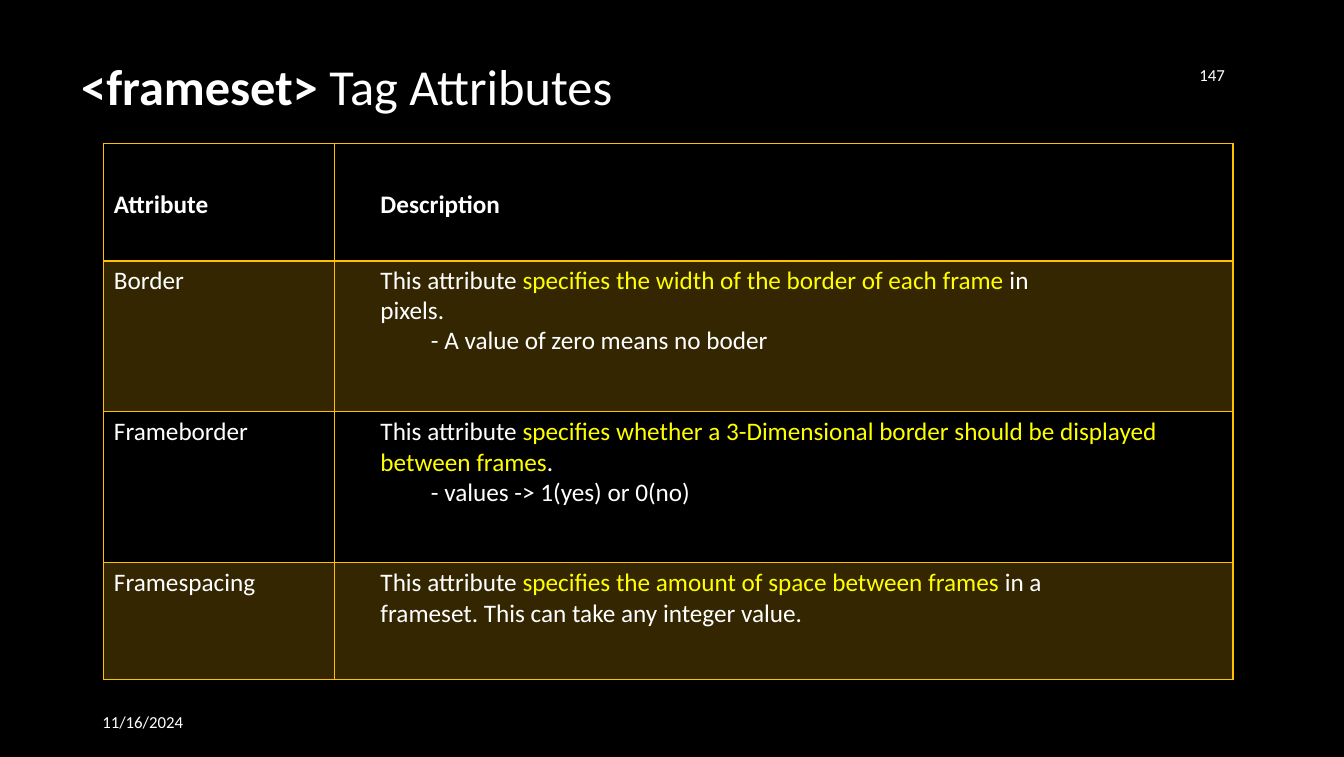
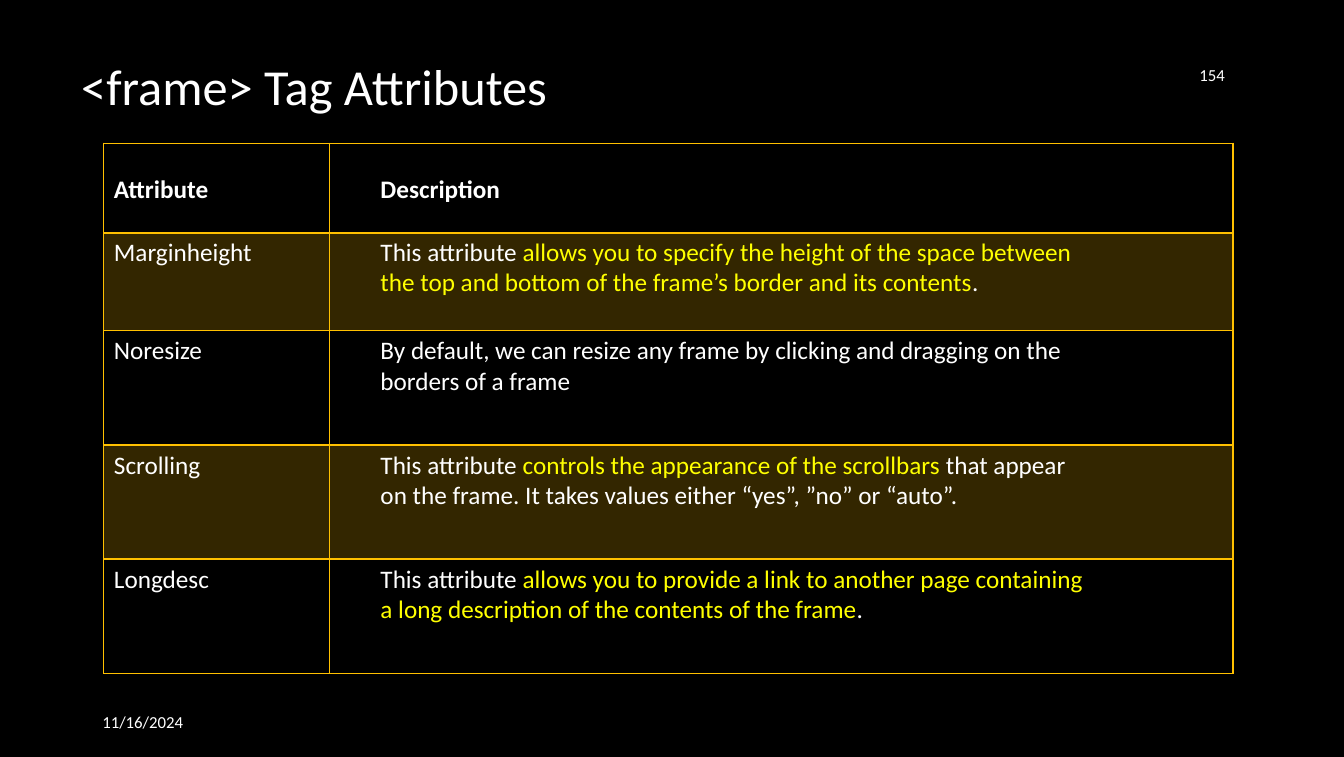
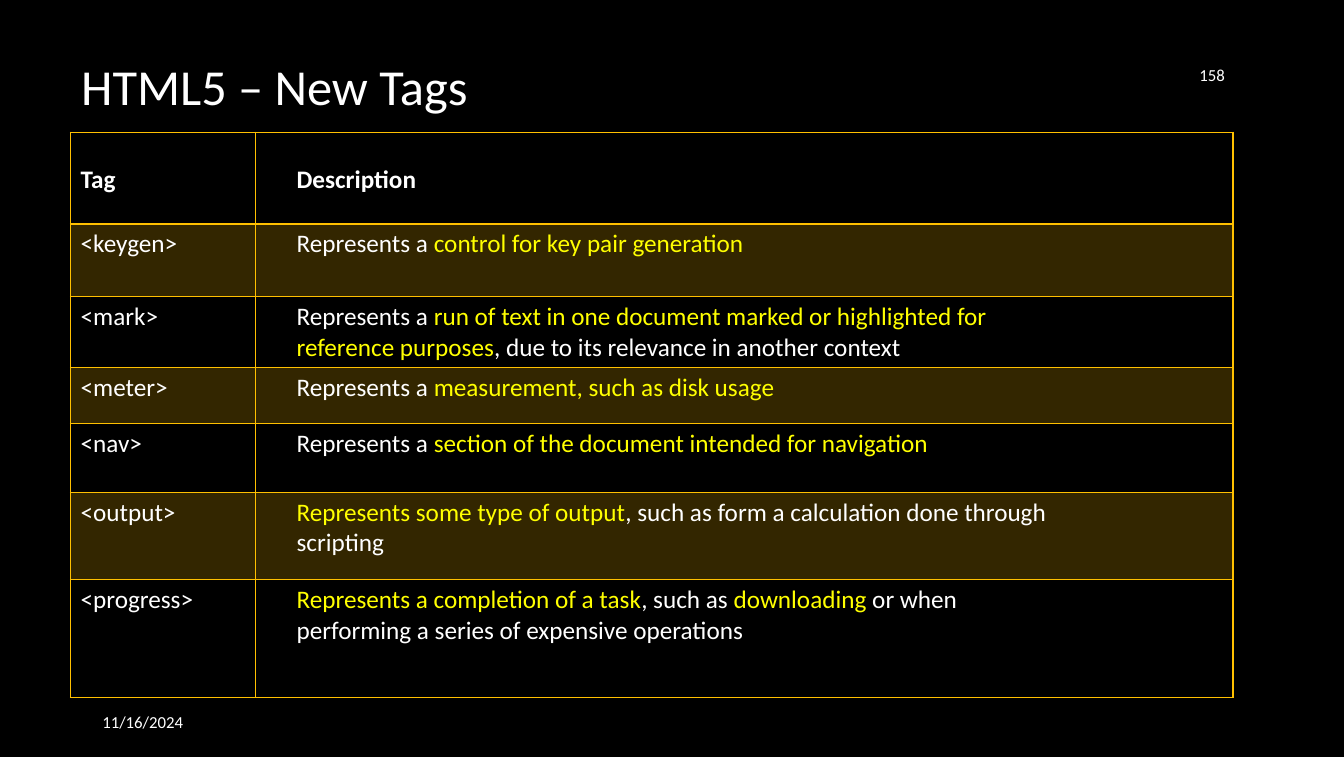
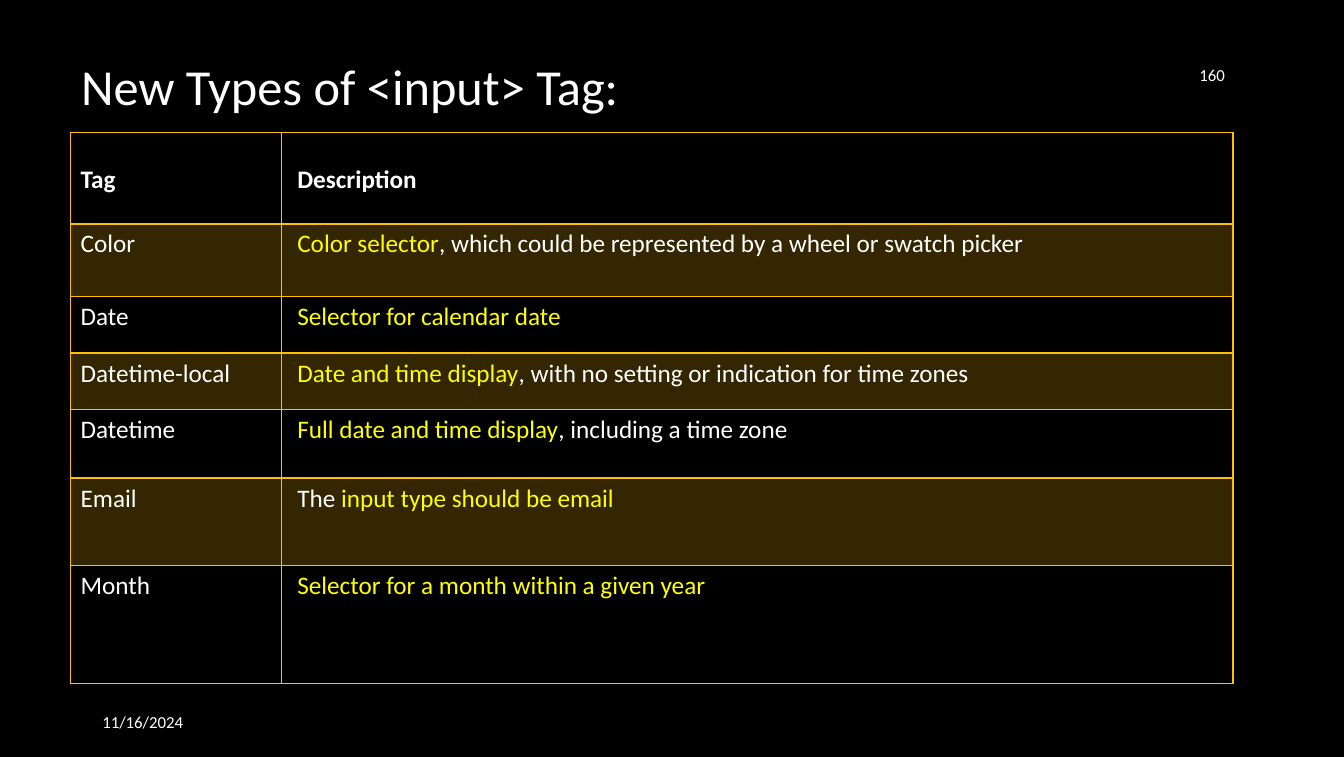
"""Build four dark slides on HTML tags, each with a title and a two-column table."""
from dataclasses import dataclass

from lxml.etree import SubElement
from pptx import Presentation
from pptx.dml.color import RGBColor
from pptx.enum.text import MSO_ANCHOR, PP_ALIGN
from pptx.oxml import parse_xml
from pptx.oxml.ns import nsdecls, qn
from pptx.util import Pt

DATE = "11/16/2024"
MARK = "|"
SUB = "- "

SLIDES = [
    {
        "number": "147", "title": [("<frameset> ", True), ("Tag Attributes", False)],
        "title_width": 450, "left": 74.2, "top": 102.4, "first_col": 165,
        "indent": 32.6, "header_pad": 33, "heights": [84, 107.5, 108, 83.5],
        "rows": [
            ("Attribute", ["Description"]),
            ("Border", ["This attribute |specifies the width of the border of each frame| in",
                        "pixels.",
                        "- A value of zero means no boder"]),
            ("Frameborder", ["This attribute |specifies whether a 3-Dimensional border should be "
                             "displayed between frames|.",
                             "- values -> 1(yes) or 0(no)"]),
            ("Framespacing", ["This attribute |specifies the amount of space between frames |in a",
                              "frameset. This can take any integer value."]),
        ],
    },
    {
        "number": "154", "title": [("<frame> Tag Attributes", False)],
        "title_width": 400, "left": 74.2, "top": 102.4, "first_col": 161,
        "indent": 36.6, "header_pad": 22, "heights": [64, 70, 81.5, 81.5, 81.5],
        "rows": [
            ("Attribute", ["Description"]),
            ("Marginheight", ["This attribute |allows you to specify the height of the space between|",
                              "|the top and bottom of the frame’s border and its contents|."]),
            ("Noresize", ["By default, we can resize any frame by clicking and dragging on the",
                          "borders of a frame"]),
            ("Scrolling", ["This attribute |controls the appearance of the scrollbars |that appear",
                           "on the frame. It takes values either “yes”, ”no” or “auto”."]),
            ("Longdesc", ["This attribute |allows you to provide a link to another page containing|",
                          "|a long description of the contents of the frame|."]),
        ],
    },
    {
        "number": "158", "title": [("HTML5 – New Tags", False)],
        "title_width": 318, "left": 50.4, "top": 94.4, "first_col": 132,
        "indent": 29.5, "header_pad": 23.2, "heights": [65.5, 52, 50.4, 40.3, 49, 62.6, 84.2],
        "rows": [
            ("Tag", ["Description"]),
            ("<keygen>", ["Represents a |control for key pair generation|"]),
            ("<mark>", ["Represents a |run of text in one document marked or highlighted for|",
                        "|reference purposes|, due to its relevance in another context"]),
            ("<meter>", ["Represents a |measurement, such as disk usage|"]),
            ("<nav>", ["Represents a |section of the document intended for navigation|"]),
            ("<output>", ["|Represents some type of output|, such as form a calculation done through",
                          "scripting"]),
            ("<progress>", ["|Represents a completion of a task|, such as |downloading| or when",
                            "performing a series of expensive operations"]),
        ],
    },
    {
        "number": "160", "title": [("New Types of <input> Tag:", False)],
        "title_width": 459, "left": 50.4, "top": 94.4, "first_col": 150.5,
        "indent": 11.5, "header_pad": 23.2, "heights": [65.5, 52, 40.3, 40.3, 49, 62.6, 84.2],
        "rows": [
            ("Tag", ["Description"]),
            ("Color", ["|Color selector|, which could be represented by a wheel or swatch picker"]),
            ("Date", ["|Selector for calendar date|"]),
            ("Datetime-local", ["|Date and time display|, with no setting or indication for time zones"]),
            ("Datetime", ["|Full date and time display|, including a time zone"]),
            ("Email", ["The |input type should be email|"]),
            ("Month", ["|Selector for a month within a given year|"]),
        ],
    },
]


@dataclass(frozen=True)
class Theme:
    font: str = "Calibri"
    background: str = "000000"
    text: str = "FFFFFF"
    highlight: str = "FFFF00"
    gold: str = "FFC000"
    band_alpha: int = 20
    title_size: float = 36
    body_size: float = 18
    small_size: float = 12
    sub_indent: float = 36
    sub_leading: float = 21.4
    table_right: float = 880.8


THEME = Theme()


def add_run(p, text, size, color=THEME.text, bold=False):
    r = p.add_run()
    r.text = text
    r.font.color.rgb = RGBColor.from_string(color)
    for name, value in {"name": THEME.font, "size": Pt(size), "bold": bold}.items():
        setattr(r.font, name, value)


def add_text(s, box, runs, size, margins=(7.2, 3.6, 7.2, 3.6), align=PP_ALIGN.LEFT):
    tf = s.shapes.add_textbox(*map(Pt, box)).text_frame
    left, top, right, bottom = map(Pt, margins)
    props = {"word_wrap": True, "vertical_anchor": MSO_ANCHOR.MIDDLE, "margin_left": left,
             "margin_top": top, "margin_right": right, "margin_bottom": bottom}
    for name, value in props.items():
        setattr(tf, name, value)
    p = tf.paragraphs[0]
    p.alignment = align
    for text, bold in runs:
        add_run(p, text, size, bold=bold)


def set_borders(cell, bottom):
    tc_pr = cell._tc.get_or_add_tcPr()
    for i, (side, width) in enumerate({"L": 1, "R": 1, "T": 1, "B": bottom}.items()):
        tc_pr.insert(i, parse_xml(
            f'<a:ln{side} {nsdecls("a")} w="{Pt(width)}"><a:solidFill>'
            f'<a:srgbClr val="{THEME.gold}"/></a:solidFill></a:ln{side}>'))


def set_fill(cell, banded):
    if not banded:
        cell.fill.background()
        return
    cell.fill.solid()
    cell.fill.fore_color.rgb = RGBColor.from_string(THEME.gold)
    color = cell._tc.tcPr.find(f"{qn('a:solidFill')}/{qn('a:srgbClr')}")
    SubElement(color, qn("a:alpha")).set("val", str(THEME.band_alpha * 1000))


def fill_cell(cell, lines, left, top, row):
    margins = {"margin_left": left, "margin_top": top, "margin_right": 0, "margin_bottom": 0}
    for name, value in margins.items():
        setattr(cell, name, Pt(value))
    set_fill(cell, row % 2 == 1)
    set_borders(cell, 2 if row == 0 else 1)
    tf = cell.text_frame
    for i, line in enumerate(lines):
        p = tf.add_paragraph() if i else tf.paragraphs[0]
        if line.startswith(SUB):
            p._p.get_or_add_pPr().set("marL", str(Pt(THEME.sub_indent)))
            p.line_spacing = Pt(THEME.sub_leading)
        for j, part in enumerate(line.split(MARK)):
            if part:
                color = THEME.highlight if j % 2 else THEME.text
                add_run(p, part, THEME.body_size, color, bold=row == 0)


def add_grid(s, data):
    heights, rows = data["heights"], data["rows"]
    width = THEME.table_right - data["left"]
    box = (data["left"], data["top"], width, sum(heights))
    table = s.shapes.add_table(len(rows), 2, *map(Pt, box)).table
    table.first_row = table.horz_banding = False
    for column, size in zip(table.columns, (data["first_col"], width - data["first_col"])):
        column.width = Pt(size)
    pads = [data["header_pad"], 3] + [3.6] * (len(rows) - 2)
    for i, (name, lines) in enumerate(rows):
        table.rows[i].height = Pt(heights[i])
        fill_cell(table.cell(i, 0), [name], 7.2, pads[i], i)
        fill_cell(table.cell(i, 1), lines, data["indent"], pads[i], i)


def add_slide(prs, data):
    s = prs.slides.add_slide(prs.slide_layouts[6])
    add_text(s, (57, 37.5, data["title_width"], 45.4), data["title"], THEME.title_size,
             (1, 1.4, 0, 0))
    add_text(s, (66, 501, 216, 29), [(DATE, False)], THEME.small_size)
    add_text(s, (816, 23, 66, 60.5), [(data["number"], False)], THEME.small_size,
             align=PP_ALIGN.RIGHT)
    add_grid(s, data)


def main():
    prs = Presentation()
    prs.slide_width, prs.slide_height = Pt(960), Pt(540.7)
    fill = prs.slide_master.background.fill
    fill.solid()
    fill.fore_color.rgb = RGBColor.from_string(THEME.background)
    for data in SLIDES:
        add_slide(prs, data)
    prs.save("out.pptx")


if __name__ == "__main__":
    main()
